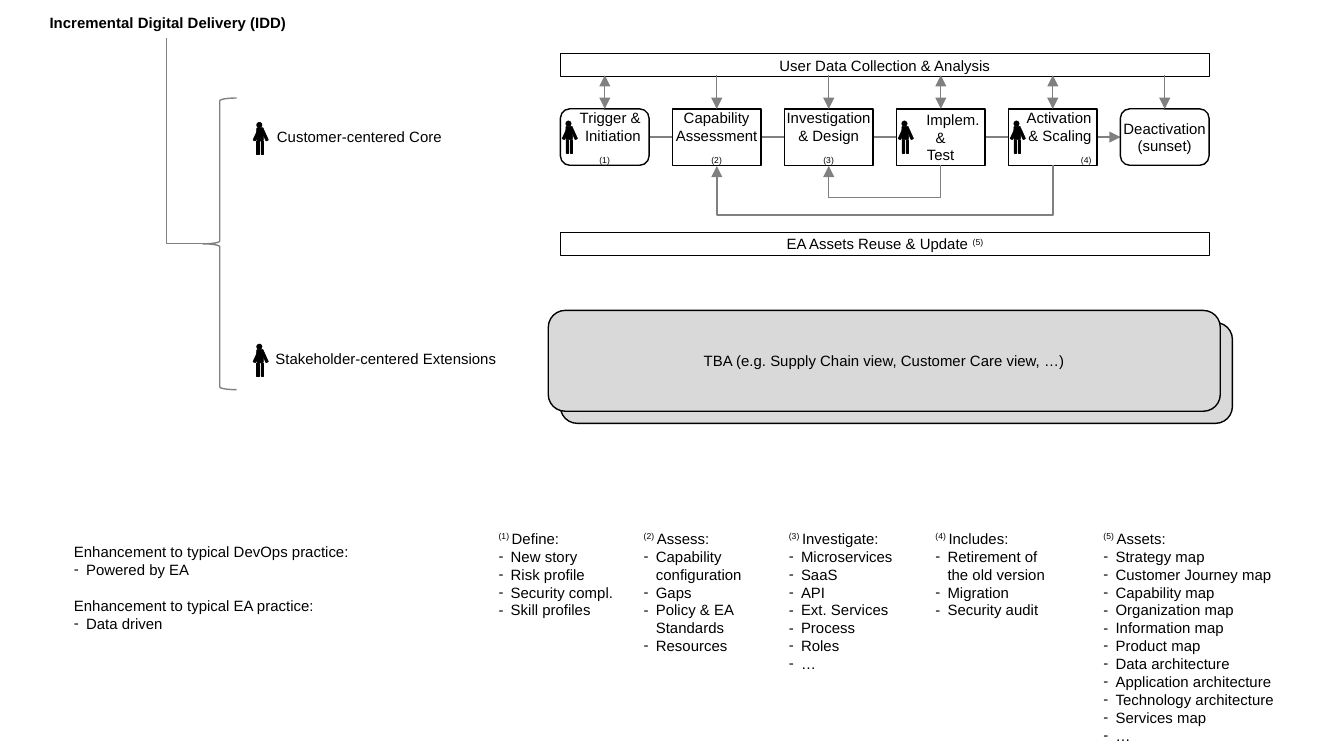
"""Build the Incremental Digital Delivery overview slide."""
from collections import namedtuple

from lxml import etree
from pptx import Presentation
from pptx.dml.color import RGBColor
from pptx.enum.shapes import MSO_CONNECTOR, MSO_SHAPE
from pptx.enum.text import MSO_ANCHOR, MSO_AUTO_SIZE, PP_ALIGN
from pptx.oxml.ns import qn
from pptx.util import Inches, Pt

RECT, ROUND = MSO_SHAPE.RECTANGLE, MSO_SHAPE.ROUNDED_RECTANGLE
OVAL, BRACE = MSO_SHAPE.OVAL, MSO_SHAPE.LEFT_BRACE
STRAIGHT, ELBOW = MSO_CONNECTOR.STRAIGHT, MSO_CONNECTOR.ELBOW
LEFT, CENTER, RIGHT = PP_ALIGN.LEFT, PP_ALIGN.CENTER, PP_ALIGN.RIGHT
TOP, MIDDLE = MSO_ANCHOR.TOP, MSO_ANCHOR.MIDDLE
GROW, FIXED = MSO_AUTO_SIZE.SHAPE_TO_FIT_TEXT, MSO_AUTO_SIZE.NONE

Theme = namedtuple("Theme", "font size ink line paper panel border hair inset hang gap")
THEME = Theme("Arial", 8, "000000", "808080", "FFFFFF", "D9D9D9", 0.75, 0.25, 0.04, 0.09, 9.6)
Para = namedtuple("Para", "runs align bullet before", defaults=(LEFT, False, 0))
Step = namedtuple("Step", "outline lines two_way person")

HEADLINE = "Incremental Digital Delivery (IDD)"
BRANCHES = [("Customer-centered Core", 2.02, 0.91, 1.32),
            ("Stakeholder-centered Extensions", 2.01, 2.56, 1.74)]
BARS = [(0.4, [("User Data Collection & Analysis", 0)]),
        (1.73, [("EA Assets Reuse & Update ", 0), ("(5)", 30)])]
STEPS = [
    Step(ROUND, [("Trigger &", RIGHT), ("Initiation", RIGHT), ("(1)", CENTER)], True, True),
    Step(RECT, [("Capability", CENTER), ("Assessment", CENTER), ("(2)", CENTER)], False, False),
    Step(RECT, [("Investigation", CENTER), ("& Design", CENTER), ("(3)", CENTER)], False, False),
    Step(RECT, [("Implem.", RIGHT), ("&", CENTER), ("Test", CENTER)], True, True),
    Step(RECT, [("Activation", RIGHT), ("& Scaling", RIGHT), ("(4)", RIGHT)], True, True),
    Step(ROUND, [("Deactivation", CENTER), ("(sunset)", CENTER)], False, False),
]
FEEDBACK = [(3, 2, 0.25), (4, 1, 0.38)]
EXTENSIONS = "TBA (e.g. Supply Chain view, Customer Care view, …)"
NOTES = [
    (3.67, 0.94, 0.75, False, "Define:",
     ["New story", "Risk profile", "Security compl.", "Skill profiles"]),
    (4.75, 0.83, 1.02, True, "Assess:",
     ["Capability configuration", "Gaps", "Policy & EA Standards", "Resources"]),
    (5.83, 0.86, 1.16, False, "Investigate:",
     ["Microservices", "SaaS", "API", "Ext. Services", "Process", "Roles", "…"]),
    (6.92, 1, 0.75, True, "Includes:",
     ["Retirement of the old version", "Migration", "Security audit"]),
    (8.17, 1.42, 1.7, True, "Assets:",
     ["Strategy map", "Customer Journey map", "Capability map", "Organization map",
      "Information map", "Product map", "Data architecture", "Application architecture",
      "Technology architecture", "Services map", "…"]),
]
ENHANCEMENTS = [("Enhancement to typical DevOps practice:", "Powered by EA"),
                ("Enhancement to typical EA practice:", "Data driven")]
PERSON = [(ROUND, 0, 0.04, 0.05, 0.1, 0), (RECT, 0, 0.14, 0.02, 0.1, 0),
          (RECT, 0.03, 0.14, 0.02, 0.1, 0), (ROUND, -0.01, 0.05, 0.02, 0.09, 24.4),
          (ROUND, 0.05, 0.05, 0.02, 0.09, 335.6), (OVAL, 0, 0, 0.04, 0.04, 0)]

SLIDE_WIDTH = 10
FLOW_LEFT, FLOW_WIDTH, PITCH = 4.17, 4.83, 5 / 6
STEP_TOP, STEP_WIDTH, STEP_HEIGHT = 0.81, 0.66, 0.42
BAR_HEIGHT, LABEL_HEIGHT, NOTES_TOP = 0.17, 0.21, 3.9

deck = Presentation()
deck.slide_width, deck.slide_height = Inches(SLIDE_WIDTH), Inches(SLIDE_WIDTH * 9 / 16)
slide = deck.slides.add_slide(deck.slide_layouts[1])
title, body = slide.placeholders


def place(part, left, top, width, height):
    part.left, part.top = Inches(left), Inches(top)
    part.width, part.height = Inches(width), Inches(height)
    return part


def write(part, paragraphs, bold=False, wrap=False, anchor=TOP, fit=GROW):
    frame = part.text_frame
    frame.word_wrap, frame.auto_size, frame.vertical_anchor = wrap, fit, anchor
    frame.margin_left = frame.margin_right = Inches(THEME.inset)
    frame.margin_top = frame.margin_bottom = Inches(THEME.inset)
    for index, content in enumerate(paragraphs):
        line = frame.add_paragraph() if index else frame.paragraphs[0]
        line.alignment = content.align
        line.space_before, line.space_after = Pt(content.before), Pt(0)
        for words, baseline in content.runs:
            run = line.add_run()
            run.text = words
            run.font.name, run.font.size, run.font.bold = THEME.font, Pt(THEME.size), bold
            run.font.color.rgb = RGBColor.from_string(THEME.ink)
            if baseline:
                run.font._element.set("baseline", str(baseline * 1000))
        props = line._p.get_or_add_pPr()
        hang = Inches(THEME.hang) if content.bullet else 0
        props.set("marL", str(hang))
        props.set("indent", str(-hang))
        if content.bullet:
            etree.SubElement(props, qn("a:buFont"), typeface=THEME.font)
            etree.SubElement(props, qn("a:buChar"), char="-")
        else:
            etree.SubElement(props, qn("a:buNone"))


def label(left, top, width, height, paragraphs, **style):
    area = slide.shapes.add_textbox(0, 0, 0, 0)
    write(place(area, left, top, width, height), paragraphs, **style)


def box(outline, left, top, width, height, fill, paragraphs=(),
        line=THEME.ink, weight=THEME.border, owner=slide):
    shape = owner.shapes.add_shape(
        outline, Inches(left), Inches(top), Inches(width), Inches(height))
    shape.shadow.inherit = False
    if fill:
        shape.fill.solid()
        shape.fill.fore_color.rgb = RGBColor.from_string(fill)
    else:
        shape.fill.background()
    shape.line.color.rgb = RGBColor.from_string(line)
    shape.line.width = Pt(weight)
    if paragraphs:
        write(shape, paragraphs, anchor=MIDDLE, fit=FIXED)
    return shape


def link(start, end, kind=STRAIGHT, head=False, tail=False, turn=0, preset=None, bend=None):
    wire = slide.shapes.add_connector(kind, *(Inches(v) for v in (*start, *end)))
    wire.line.color.rgb = RGBColor.from_string(THEME.line)
    wire.line.width = Pt(THEME.border)
    props = wire.element.spPr
    stroke = props.find(qn("a:ln"))
    for shown, tag in ((head, "a:headEnd"), (tail, "a:tailEnd")):
        if shown:
            etree.SubElement(stroke, qn(tag), type="triangle")
    etree.SubElement(props, qn("a:effectLst"))
    if turn:
        props.find(qn("a:xfrm")).set("rot", str(turn * 60000))
    shape = props.find(qn("a:prstGeom"))
    if preset:
        shape.set("prst", preset)
    if bend is not None:
        guides = shape.find(qn("a:avLst"))
        if guides is None:
            guides = etree.SubElement(shape, qn("a:avLst"))
        etree.SubElement(guides, qn("a:gd"), name="adj1", fmla=f"val {round(bend * 100000)}")


def person(left, top):
    figure = slide.shapes.add_group_shape()
    for outline, dx, dy, width, height, angle in PERSON:
        limb = box(outline, left + dx, top + dy, width, height, THEME.ink,
                   weight=THEME.hair, owner=figure)
        limb.rotation = angle


def step_center(index):
    return FLOW_LEFT + index * PITCH + STEP_WIDTH / 2


write(place(title, 0.32, 0.06, 1.86, LABEL_HEIGHT),
      [Para([(HEADLINE, 0)], CENTER)], bold=True)
write(place(body, 0.51, 4, 2.15, 0.75),
      [Para([(words, 0)], bullet=bullet, before=THEME.gap if group and not bullet else 0)
       for group, pair in enumerate(ENHANCEMENTS) for bullet, words in enumerate(pair)])

for words, left, top, width in BRANCHES:
    person(1.91, top)
    label(left, top, width, LABEL_HEIGHT, [Para([(words, 0)])])
box(BRACE, 1.51, 0.73, 0.25, 2.17, None, line=THEME.line)
link((1.24, 0.28), (1.51, 1.81), ELBOW, turn=180, preset="bentConnector2")

for top, runs in BARS:
    box(RECT, FLOW_LEFT, top, FLOW_WIDTH, BAR_HEIGHT, THEME.paper, [Para(runs, CENTER)])

middle = STEP_TOP + STEP_HEIGHT / 2
link((FLOW_LEFT + STEP_WIDTH, middle), (FLOW_LEFT + 5 * PITCH, middle), tail=True)
for index, step in enumerate(STEPS):
    left, center = FLOW_LEFT + index * PITCH, step_center(index)
    marks = [Para([(words, -25 if words[1:2].isdigit() else 0)], align)
             for words, align in step.lines]
    box(step.outline, left, STEP_TOP, STEP_WIDTH, STEP_HEIGHT, THEME.paper, marks)
    link((center, 0.56), (center, STEP_TOP), head=step.two_way, tail=True)
    if step.person:
        person(left + 0.04, 0.9)

thin = 0.01
for source, target, drop in FEEDBACK:
    span = (source - target) * PITCH
    center, level = (step_center(source) + step_center(target)) / 2, STEP_TOP + STEP_HEIGHT
    link((center - thin / 2, level - span / 2), (center + thin / 2, level + span / 2),
         ELBOW, tail=True, turn=90, bend=drop / thin)

box(ROUND, 4.17, 2.4, 5, 0.75, THEME.panel)
box(ROUND, 4.08, 2.31, 5, 0.75, THEME.panel, [Para([(EXTENSIONS, 0)], CENTER)])

for number, (left, width, height, wrap, heading, items) in enumerate(NOTES, 1):
    label(left, NOTES_TOP, width, height,
          [Para([(f"({number}) ", 30), (heading, 0)])]
          + [Para([(item, 0)], bullet=True) for item in items], wrap=wrap)

deck.save("out.pptx")
